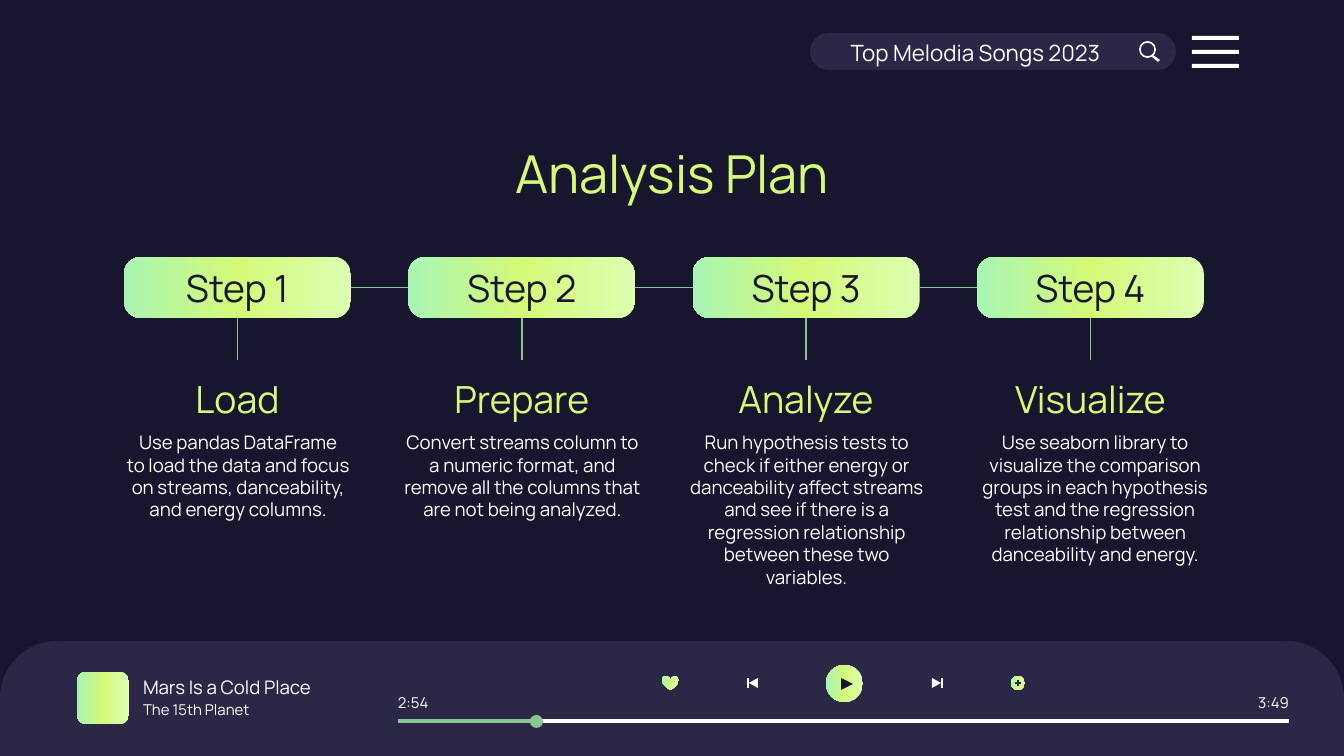
from copy import deepcopy
from dataclasses import dataclass

from lxml.etree import SubElement
from pptx import Presentation
from pptx.dml.color import RGBColor
from pptx.enum.shapes import MSO_CONNECTOR, MSO_SHAPE
from pptx.enum.text import MSO_ANCHOR, MSO_AUTO_SIZE, PP_ALIGN
from pptx.oxml.ns import qn
from pptx.util import Pt

# ---- Content ----
TITLE = "Analysis Plan"
SEARCH = "Top Melodia Songs 2023"
# step, heading, description, description width
STEPS = [
    ("Step 1", "Load", "Use pandas DataFrame\nto load the data and focus on streams, "
     "danceability, and energy columns.", 269),
    ("Step 2", "Prepare", "Convert streams column to a numeric format, and remove all "
     "the columns that are not being analyzed.", 269),
    ("Step 3", "Analyze", "Run hypothesis tests to check if either energy or "
     "danceability affect streams and see if there is a regression relationship "
     "between these two variables.", 269),
    ("Step 4", "Visualize", "Use seaborn library to visualize the comparison groups in "
     "each hypothesis test and the regression relationship between danceability and "
     "energy.", 277),
]
# text, box, size, alignment, side inset
PLAYER_LABELS = [
    ("Mars Is a Cold Place", (130, 676, 257, 23), 10, PP_ALIGN.LEFT, 13),
    ("The 15th Planet", (130, 698, 155, 23), 8, PP_ALIGN.LEFT, 13),
    ("2:54", (398, 691, 36, 23), 8, PP_ALIGN.LEFT, 0),
    ("3:49", (1253, 691, 36, 23), 8, PP_ALIGN.RIGHT, 0),
]
# outline points, colour name
ICON_OUTLINES = [
    ([(1153, 55), (1152, 57), (1158, 62), (1160, 60)], "white"),     # search handle
    ([(841, 678), (841, 690), (853, 684)], "night"),                 # play
    ([(932, 678), (932, 688), (941, 683)], "white"),                 # next
    ([(941, 678), (941, 688), (943, 688), (943, 678)], "white"),
    ([(758, 678), (749, 683), (758, 688)], "white"),                 # previous
    ([(747, 678), (747, 688), (749, 688), (749, 678)], "white"),
]


@dataclass(frozen=True)
class Theme:
    font: str = "Manrope"
    night: str = "17162E"
    panel: str = "2A2747"
    white: str = "FFFFFF"
    lime: str = "D5F979"
    green: str = "88C591"
    gradient: tuple = ("DDFFB2", "D5F979", "A9F5B4")
    title: int = 28
    heading: int = 20
    search: int = 12
    body: int = 10


THEME = Theme()
PX = 914400 / 134.4


def px(length):
    return round(length * PX)


def rgb(color):
    return RGBColor.from_string(color)


def paint(shape, color):
    """Fill with one colour, or with a gradient when given several."""
    shape.shadow.inherit = False
    shape.line.fill.background()
    if isinstance(color, str):
        shape.fill.solid()
        shape.fill.fore_color.rgb = rgb(color)
        return shape
    shape.fill.gradient()
    shape.fill.gradient_angle = 180
    stop_list = shape.element.spPr.find(".//" + qn("a:gsLst"))
    stop_list.append(deepcopy(stop_list[0]))
    for i, (stop, stop_color) in enumerate(zip(shape.fill.gradient_stops, color)):
        stop.position = i / (len(color) - 1)
        stop.color.rgb = rgb(stop_color)
    return shape


def add_part(preset, box, color, *adjustments):
    part = slide.shapes.add_shape(preset, *map(px, box))
    for i, value in enumerate(adjustments):
        part.adjustments[i] = value
    return paint(part, color)


def add_line(start, end, color, width):
    line = slide.shapes.add_connector(MSO_CONNECTOR.STRAIGHT, *map(px, start + end))
    line.line.color.rgb = rgb(color)
    line.line.width = Pt(width)
    SubElement(line.element.spPr, qn("a:effectLst"))
    return line


def write(text, *, shape=None, box=None, size, color, align=PP_ALIGN.CENTER,
          anchor=MSO_ANCHOR.MIDDLE, side=13, spacing=None):
    shape = shape or slide.shapes.add_textbox(*map(px, box))
    frame = shape.text_frame
    frame.text = text
    frame.word_wrap = True
    frame.auto_size = MSO_AUTO_SIZE.NONE
    frame.vertical_anchor = anchor
    frame.margin_left = frame.margin_right = px(side)
    frame.margin_top = frame.margin_bottom = px(13)
    for paragraph in frame.paragraphs:
        paragraph.alignment = align
        paragraph.line_spacing = spacing
        paragraph.font.name = THEME.font
        paragraph.font.size = Pt(size)
        paragraph.font.color.rgb = rgb(color)
    return shape


deck = Presentation()
deck.slide_width, deck.slide_height = px(1344), px(756)
slide = deck.slides.add_slide(deck.slide_layouts[5])
slide.background.fill.solid()
slide.background.fill.fore_color.rgb = rgb(THEME.night)

# ---- Title ----
title = slide.shapes.title
title.left, title.top, title.width, title.height = map(px, (457, 130, 430, 85))
write(TITLE, shape=title, size=THEME.title, color=THEME.lime)

# ---- Search bar and menu ----
add_part(MSO_SHAPE.ROUNDED_RECTANGLE, (810, 33, 366, 37), THEME.panel, 0.5)
write(SEARCH, box=(829, 26, 293, 50), size=THEME.search, color=THEME.white, spacing=1.15)
add_part(MSO_SHAPE.DONUT, (1139, 41, 17, 17), THEME.white, 0.1)
for row in range(3):
    add_part(MSO_SHAPE.RECTANGLE, (1192, 36 + 14 * row, 47, 4), THEME.white)

# ---- Player panel ----
add_part(MSO_SHAPE.ROUND_2_SAME_RECTANGLE, (0, 641, 1344, 115), THEME.panel, 0.5, 0)
add_part(MSO_SHAPE.ROUNDED_RECTANGLE, (77, 672, 52, 52), THEME.gradient, 0.17)
for label, box, size, align, side in PLAYER_LABELS:
    write(label, box=box, size=size, color=THEME.white, align=align, side=side)
add_part(MSO_SHAPE.HEART, (662, 676, 17, 14), THEME.gradient)
add_part(MSO_SHAPE.OVAL, (826, 665, 37, 37), THEME.gradient)
add_part(MSO_SHAPE.OVAL, (1011, 676, 14, 14), THEME.gradient)
add_line((1018, 680), (1018, 686), THEME.panel, 0.75)
add_line((1015, 683), (1021, 683), THEME.panel, 0.75)
for points, color_name in ICON_OUTLINES:
    outline = slide.shapes.build_freeform(*points[0], scale=PX)
    outline.add_line_segments(points[1:], close=True)
    paint(outline.convert_to_shape(), getattr(THEME, color_name))

# ---- Progress bar ----
for bar_end, color in ((1289, THEME.white), (539, THEME.green)):
    add_line((398, 721), (bar_end, 721), color, 2.25)
add_part(MSO_SHAPE.OVAL, (530, 715, 13, 13), THEME.green)

# ---- Steps ----
FIRST_LEFT, LAST_LEFT, STEP_TOP, STEP_WIDTH, STEP_HEIGHT = 124, 977, 257, 227, 61
HEADING_TOP, HEADING_WIDTH = 360, 254
pitch = (LAST_LEFT - FIRST_LEFT) / (len(STEPS) - 1)
previous_step = None
for i, (step_name, heading_text, description, description_width) in enumerate(STEPS):
    left = FIRST_LEFT + pitch * i
    center = left + STEP_WIDTH / 2
    middle = STEP_TOP + STEP_HEIGHT / 2
    step = add_part(MSO_SHAPE.ROUNDED_RECTANGLE,
                    (left, STEP_TOP, STEP_WIDTH, STEP_HEIGHT), THEME.gradient, 0.28)
    write(step_name, shape=step, size=THEME.heading, color=THEME.night)
    heading = write(heading_text, size=THEME.heading, color=THEME.lime,
                    box=(center - HEADING_WIDTH / 2, HEADING_TOP, HEADING_WIDTH, 78))
    write(description, box=(center - 134, 418, description_width, 140),
          size=THEME.body, color=THEME.white, anchor=MSO_ANCHOR.TOP)
    stem = add_line((center, STEP_TOP + STEP_HEIGHT), (center, HEADING_TOP),
                    THEME.green, 0.75)
    stem.begin_connect(step, 2)
    stem.end_connect(heading, 0)
    if previous_step:
        link = add_line((left - pitch + STEP_WIDTH, middle), (left, middle),
                        THEME.green, 0.75)
        link.begin_connect(previous_step, 3)
        link.end_connect(step, 1)
    previous_step = step

deck.save("out.pptx")
